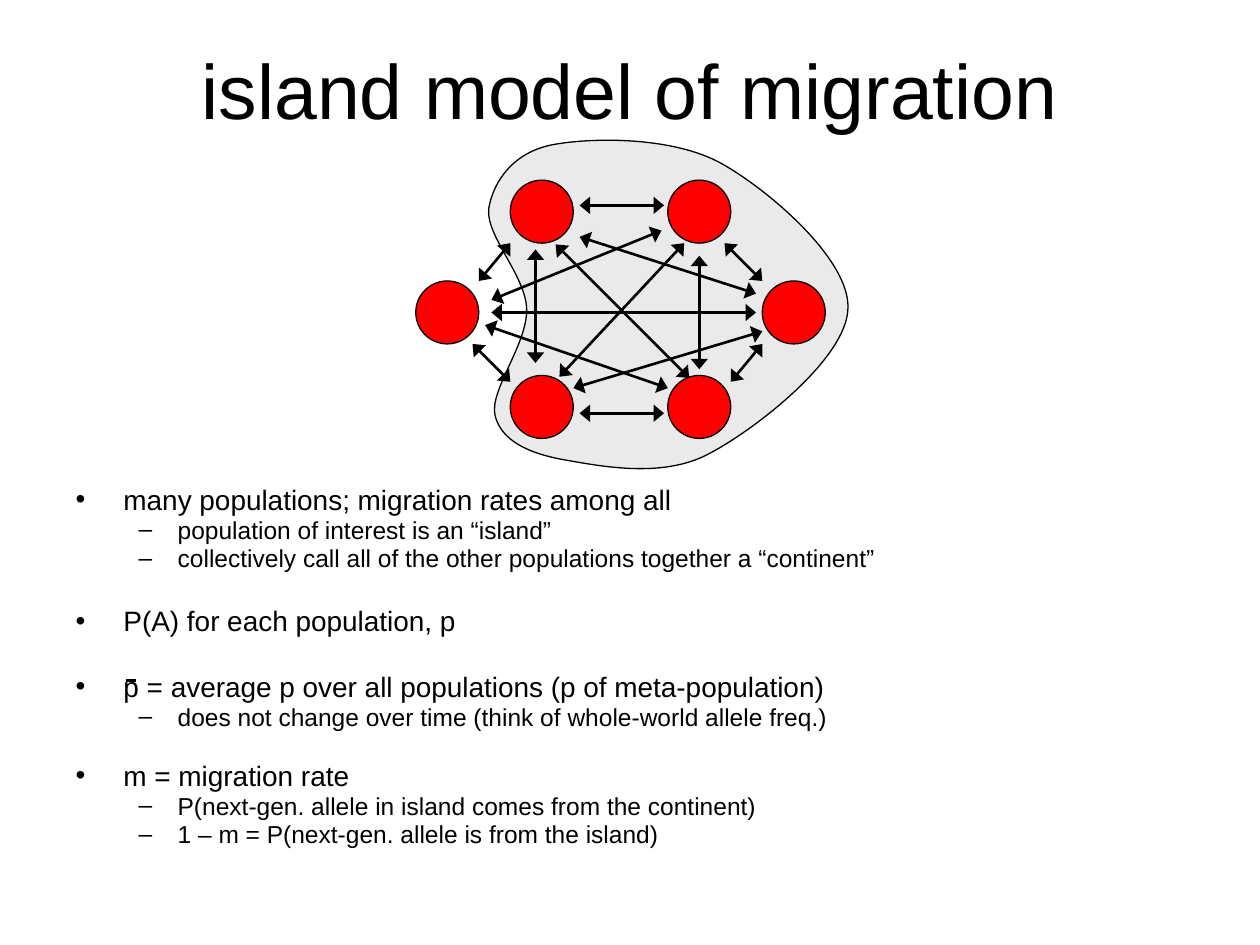
from typing import NamedTuple

from lxml.etree import SubElement
from pptx import Presentation
from pptx.dml.color import RGBColor
from pptx.enum.shapes import MSO_CONNECTOR, MSO_SHAPE
from pptx.enum.text import MSO_ANCHOR, MSO_AUTO_SIZE, PP_ALIGN
from pptx.oxml.ns import qn
from pptx.util import Inches, Pt

BLACK = RGBColor(0, 0, 0)
RED = RGBColor(255, 0, 0)
GRAY = RGBColor(0xEA, 0xEA, 0xEA)
FONT = "Arial"
SIZE = 0.5


class Level(NamedTuple):
    size: int
    left: float
    hang: float
    mark: str


class Item(NamedTuple):
    text: str
    level: int
    gap: float


class Link(NamedTuple):
    x1: float
    y1: float
    x2: float
    y2: float


LEVELS = [Level(16, 0.38, 0.38, "•"), Level(14, 0.81, 0.31, "–")]
ITEMS = [
    Item("many populations; migration rates among all", 0, 0),
    Item("population of interest is an “island”", 1, 2.8),
    Item("collectively call all of the other populations together a “continent”", 1, 2.8),
    Item("P(A) for each population, p", 0, 21.6),
    Item("p = average p over all populations (p of meta-population)", 0, 21.9),
    Item("does not change over time (think of whole-world allele freq.)", 1, 2.8),
    Item("m = migration rate", 0, 19.4),
    Item("P(next-gen. allele in island comes from the continent)", 1, 2.8),
    Item("1 – m = P(next-gen. allele is from the island)", 1, 2.8),
]
ISLES = [(4.05, 1.43), (5.3, 1.43), (6.05, 2.23), (5.3, 2.98), (4.05, 2.98), (3.3, 2.23)]
LINKS = [
    Link(4.6, 1.63, 5.27, 1.63), Link(4.6, 3.28, 5.27, 3.28),
    Link(3.75, 2.73, 4.05, 3.03), Link(5.75, 1.93, 6.05, 2.23),
    Link(4.05, 1.93, 3.8, 2.23), Link(6.05, 2.73, 5.8, 3.03),
    Link(4.25, 1.98, 4.25, 2.88), Link(5.55, 2.03, 5.55, 2.93),
    Link(5.43, 1.93, 4.44, 2.99), Link(4.41, 1.94, 5.47, 3),
    Link(6.05, 2.63, 4.55, 3.08), Link(5.25, 1.83, 3.9, 2.38),
    Link(3.85, 2.58, 5.3, 3.08), Link(6, 2.33, 4.6, 1.88),
    Link(3.9, 2.48, 6, 2.48),
]
# Bezier points: a start, then two controls and an end per curve
COAST = [
    (4.48, 3.65), (4.2, 3.6), (3.98, 3.5), (3.93, 3.3),
    (3.88, 3.1), (4.19, 2.73), (4.18, 2.45), (4.17, 2.18), (3.85, 1.87), (3.88, 1.65),
    (3.92, 1.43), (4.08, 1.21), (4.38, 1.15), (4.69, 1.09), (5.34, 1.08), (5.73, 1.3),
    (6.12, 1.52), (6.75, 2.07), (6.73, 2.45), (6.72, 2.84), (6.01, 3.4), (5.63, 3.6),
    (5.26, 3.8), (4.77, 3.7), (4.48, 3.65),
]


def bend(shape) -> None:
    """Join each three straight steps into one cubic curve."""
    steps = list(shape._element.iter(qn("a:lnTo")))
    for i in range(0, len(steps), 3):
        curve = SubElement(steps[i].getparent(), qn("a:cubicBezTo"))
        steps[i].addprevious(curve)
        for step in steps[i:i + 3]:
            curve.append(step[0])
            step.getparent().remove(step)


def paint(shape, color: RGBColor) -> None:
    shape.shadow.inherit = False
    shape.fill.solid()
    shape.fill.fore_color.rgb = color
    shape.line.color.rgb = BLACK
    shape.line.width = Pt(0.75)


def draw(link: Link, heads: bool = True) -> None:
    line = slide.shapes.add_connector(
        MSO_CONNECTOR.STRAIGHT, *(Inches(v) for v in link))
    line.line.color.rgb = BLACK
    line.line.width = Pt(1.5)
    props = line.line._get_or_add_ln()
    for end in ("a:headEnd", "a:tailEnd") if heads else ():
        SubElement(props, qn(end), type="triangle", w="lg", len="med")
    SubElement(line._element.spPr, qn("a:effectLst"))


def place(shape, left: float, top: float, width: float, height: float) -> None:
    shape.left, shape.top = Inches(left), Inches(top)
    shape.width, shape.height = Inches(width), Inches(height)
    shape.text_frame.word_wrap = True
    shape.text_frame.auto_size = MSO_AUTO_SIZE.NONE


def write(para, text: str, size: int) -> None:
    run = para.add_run()
    run.text = text
    run.font.name = FONT
    run.font.size = Pt(size)
    run.font.color.rgb = BLACK


def add_item(para, item: Item) -> None:
    level = LEVELS[item.level]
    para.level = item.level
    para.line_spacing = 0.8
    para.space_before = Pt(item.gap)
    props = para._p.get_or_add_pPr()
    props.set("marL", str(Inches(level.left)))
    props.set("indent", str(-Inches(level.hang)))
    SubElement(props, qn("a:buChar"), char=level.mark)
    write(para, item.text, level.size)


deck = Presentation()
deck.slide_width, deck.slide_height = Inches(10), Inches(7.5)
slide = deck.slides.add_slide(deck.slide_layouts[1])

# Title
title = slide.shapes.title
place(title, 0.5, 0.08, 9, 1.25)
title.text_frame.vertical_anchor = MSO_ANCHOR.MIDDLE
head = title.text_frame.paragraphs[0]
head.alignment = PP_ALIGN.CENTER
write(head, "island model of migration", 44)

# Bullet list
body = slide.placeholders[1]
place(body, 0.5, 3.83, 9, 3.17)
frame = body.text_frame
frame.vertical_anchor = MSO_ANCHOR.TOP
for i, item in enumerate(ITEMS):
    add_item(frame.add_paragraph() if i else frame.paragraphs[0], item)

# Continent, behind the text
coast = [(Inches(x), Inches(y)) for x, y in COAST]
pen = slide.shapes.build_freeform(*coast[0])
pen.add_line_segments(coast[1:], close=True)
land = pen.convert_to_shape()
bend(land)
paint(land, GRAY)
slide.shapes._spTree.insert(2, land._element)

# Migration arrows, and the bar over p
for link in LINKS:
    draw(link)
draw(Link(1, 5.4, 1.08, 5.4), heads=False)

# Populations
for x, y in ISLES:
    isle = slide.shapes.add_shape(
        MSO_SHAPE.OVAL, Inches(x), Inches(y), Inches(SIZE), Inches(SIZE))
    paint(isle, RED)

deck.save("out.pptx")
